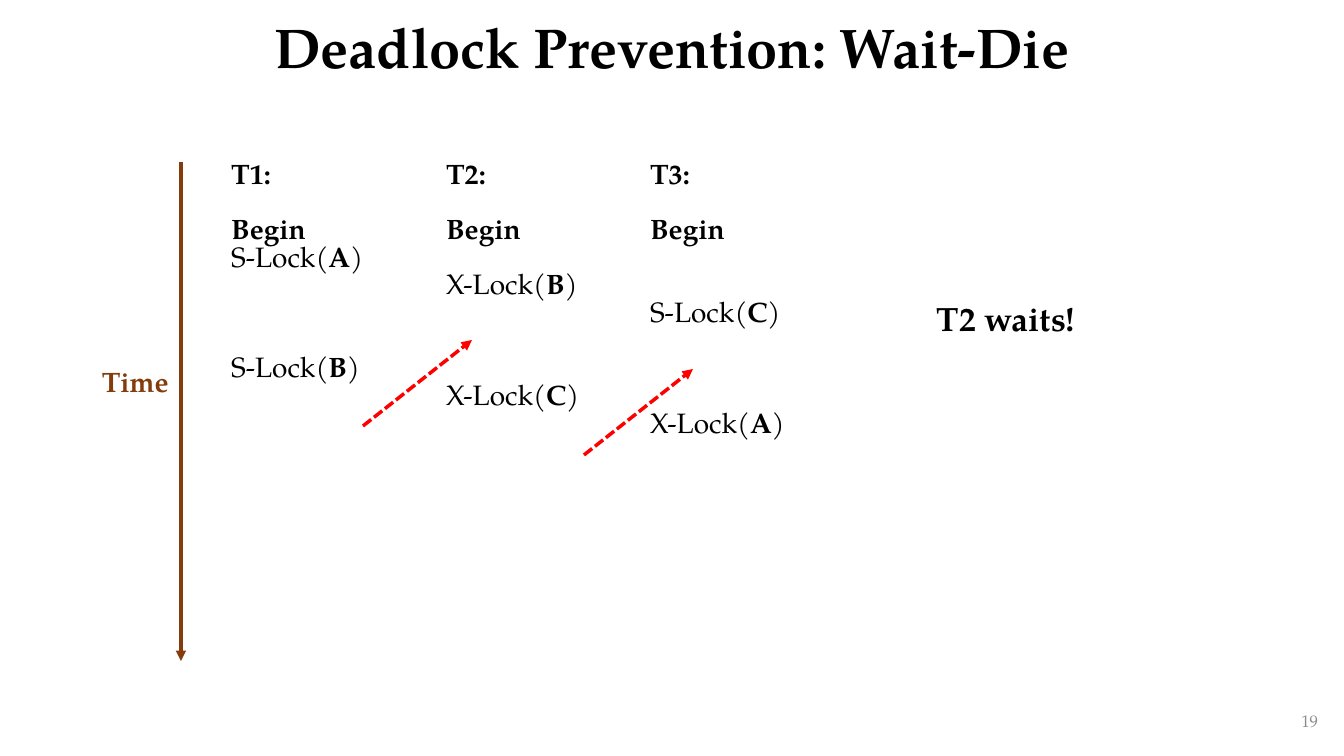
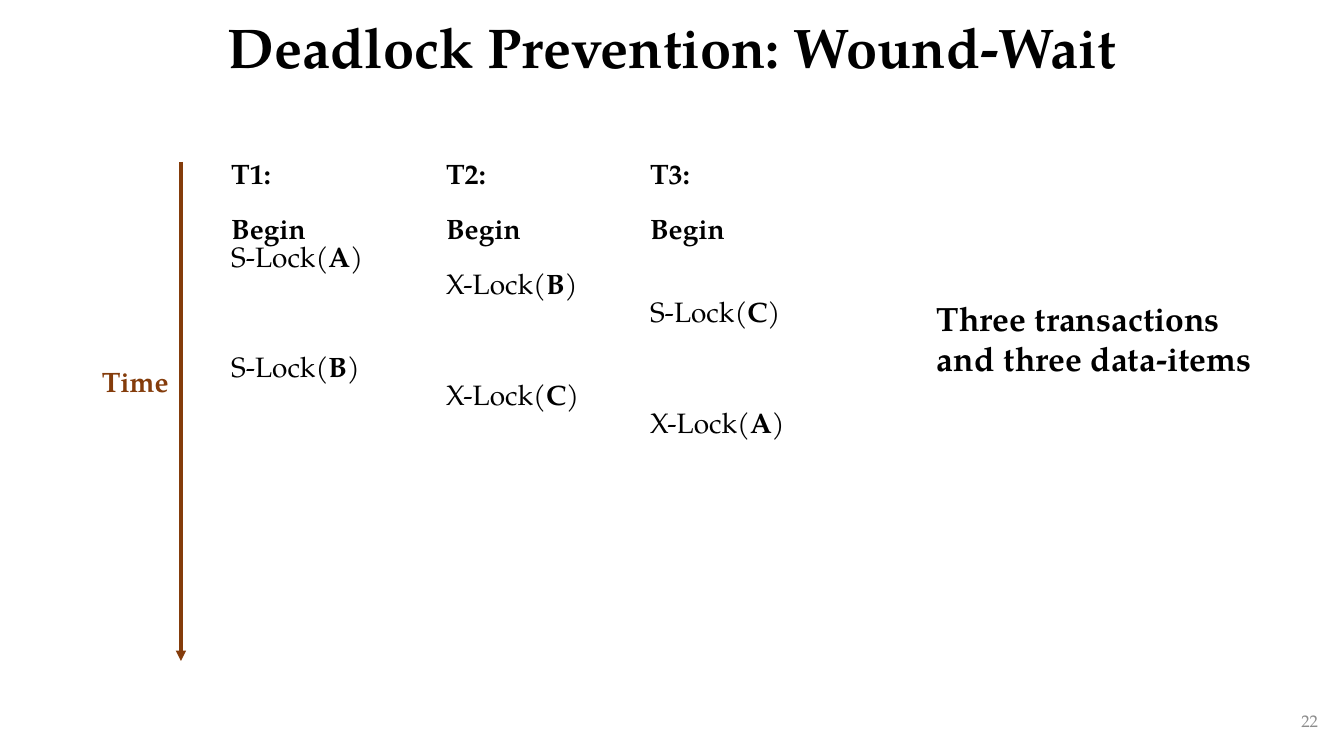
from dataclasses import dataclass
from typing import Any

from lxml.etree import SubElement
from pptx import Presentation
from pptx.dml.color import RGBColor
from pptx.enum.dml import MSO_LINE
from pptx.enum.shapes import MSO_CONNECTOR
from pptx.enum.text import MSO_ANCHOR as Anchor, PP_ALIGN as Align
from pptx.oxml.ns import qn
from pptx.util import Pt

EMU_PER_INCH = 914400
PX_PER_INCH = 100.8
FONT = "TeX Gyre Pagella"
COLORS = {"ink": "000000", "time": "843C0B", "wait": "FF0000", "number": "8C8C8C"}
STEP_PITCH = 19.8
TABLE_LEFT, TABLE_TOP, TABLE_HEIGHT = 221, 162, 467
COLUMN_WIDTHS = (215, 204, 204)


@dataclass(frozen=True)
class Style:
    size: int
    color: str = "ink"
    bold: bool = True
    align: Align = Align.LEFT
    anchor: Anchor = Anchor.TOP
    line_spacing: float = 1.0


@dataclass(frozen=True)
class Box:
    left: int
    top: int
    width: int
    height: int


@dataclass(frozen=True)
class Arrow:
    x1: int
    y1: int
    x2: int
    y2: int
    color: str = "wait"
    dashed: bool = True


@dataclass(frozen=True)
class Lock:
    slot: int
    mode: str
    item: str


@dataclass(frozen=True)
class Schedule:
    title: str
    number: int
    remark: str
    remark_height: int
    waits: tuple[Arrow, ...] = ()


TITLE = Style(40, align=Align.CENTER, anchor=Anchor.MIDDLE, line_spacing=0.9)
NUMBER = Style(12, "number", False, Align.RIGHT, Anchor.MIDDLE)
TIME = Style(20, "time")
STEP = Style(20)
REMARK = Style(24)

TRANSACTIONS = {
    "T1:": (Lock(3, "S", "A"), Lock(7, "S", "B")),
    "T2:": (Lock(4, "X", "B"), Lock(8, "X", "C")),
    "T3:": (Lock(5, "S", "C"), Lock(9, "X", "A")),
}
BEGIN_SLOT = 2
TIME_ARROW = Arrow(181, 162, 181, 661, "time", False)

SCHEDULES = (
    Schedule("Deadlock Prevention: Wait-Die", 19, "T2 waits!", 50,
             (Arrow(363, 426, 472, 340), Arrow(584, 455, 693, 369))),
    Schedule("Deadlock Prevention: Wound-Wait", 22,
             "Three transactions and three data-items", 92),
)


def px(length: int) -> int:
    return round(length * EMU_PER_INCH / PX_PER_INCH)


def rgb(name: str) -> RGBColor:
    return RGBColor.from_string(COLORS[name])


def set_all(target: Any, values: dict[str, Any]) -> None:
    for name, value in values.items():
        setattr(target, name, value)


def add_span(para: Any, text: str, style: Style, bold: bool) -> None:
    span = para.add_run()
    span.text = text
    set_all(span.font, {"name": FONT, "size": Pt(style.size), "bold": bold})
    span.font.color.rgb = rgb(style.color)


def add_text(shapes: Any, area: Box, text: str, style: Style) -> None:
    box = shapes.add_textbox(px(area.left), px(area.top), px(area.width), px(area.height))
    set_all(box.text_frame, {"word_wrap": True, "vertical_anchor": style.anchor})
    para = box.text_frame.paragraphs[0]
    set_all(para, {"alignment": style.align, "line_spacing": style.line_spacing})
    add_span(para, text, style, style.bold)


def add_arrow(shapes: Any, arrow: Arrow) -> None:
    line = shapes.add_connector(MSO_CONNECTOR.STRAIGHT, px(arrow.x1), px(arrow.y1),
                                px(arrow.x2), px(arrow.y2))
    line.line.color.rgb = rgb(arrow.color)
    line.line.width = Pt(2.5)
    if arrow.dashed:
        line.line.dash_style = MSO_LINE.SQUARE_DOT
    SubElement(line.line._get_or_add_ln(), qn("a:tailEnd"), type="triangle")
    SubElement(line._element.spPr, qn("a:effectLst"))


def fill_transaction(cell: Any, name: str, locks: tuple[Lock, ...]) -> None:
    cell.fill.background()
    cell.margin_top = px(2)
    steps = [(0, ((name, True),)), (BEGIN_SLOT, (("Begin", True),))]
    steps += [(lock.slot, ((f"{lock.mode}-Lock(", False), (lock.item, True), (")", False)))
              for lock in locks]
    previous = -1
    for slot, spans in steps:
        para = cell.text_frame.paragraphs[0] if slot == 0 else cell.text_frame.add_paragraph()
        set_all(para, {"line_spacing": Pt(STEP_PITCH),
                       "space_before": Pt(STEP_PITCH * (slot - previous - 1))})
        for text, bold in spans:
            add_span(para, text, STEP, bold)
        previous = slot


def add_transactions(shapes: Any) -> None:
    table = shapes.add_table(1, len(TRANSACTIONS), px(TABLE_LEFT), px(TABLE_TOP),
                             px(sum(COLUMN_WIDTHS)), px(TABLE_HEIGHT)).table
    set_all(table, {"first_row": False, "horz_banding": False})
    for index, (name, locks) in enumerate(TRANSACTIONS.items()):
        table.columns[index].width = px(COLUMN_WIDTHS[index])
        fill_transaction(table.cell(0, index), name, locks)


def add_page(deck: Any, schedule: Schedule) -> None:
    shapes = deck.slides.add_slide(deck.slide_layouts[6]).shapes
    add_text(shapes, Box(92, 0, 1160, 100), schedule.title, TITLE)
    add_text(shapes, Box(1026, 701, 302, 40), str(schedule.number), NUMBER)
    add_transactions(shapes)
    time_axis = shapes.add_group_shape().shapes
    add_arrow(time_axis, TIME_ARROW)
    add_text(time_axis, Box(92, 360, 90, 44), "Time", TIME)
    for wait in schedule.waits:
        add_arrow(shapes, wait)
    add_text(shapes, Box(927, 293, 365, schedule.remark_height), schedule.remark, REMARK)


def main() -> None:
    deck = Presentation()
    set_all(deck, {"slide_width": px(1344), "slide_height": px(756)})
    for schedule in SCHEDULES:
        add_page(deck, schedule)
    deck.save("out.pptx")


if __name__ == "__main__":
    main()
